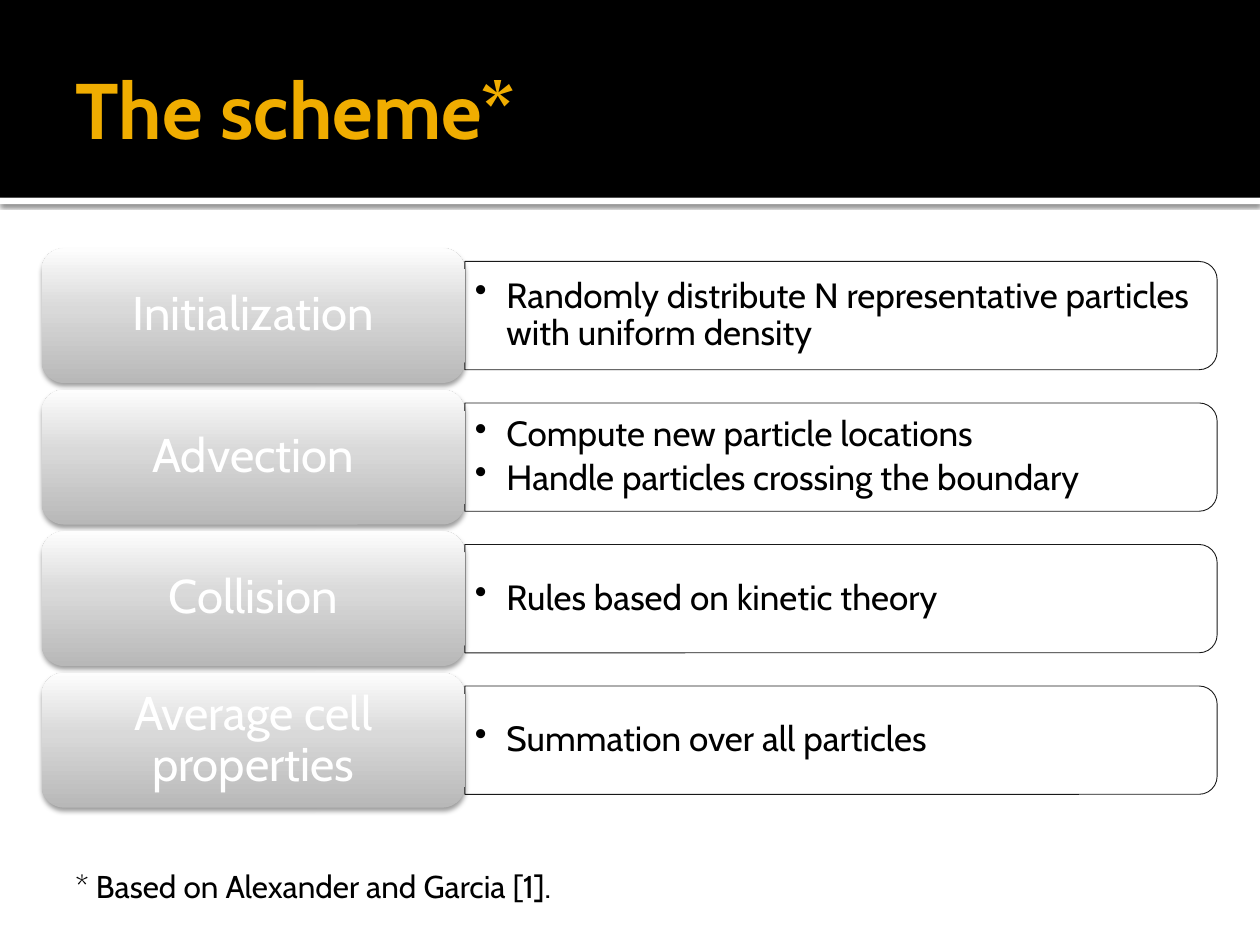
import pptx
import pptx.dml.color
import pptx.enum.shapes
import pptx.enum.text
import pptx.oxml
import pptx.oxml.ns
import pptx.util

COLS, ROWS = 10, 7.5
SHAPE = pptx.enum.shapes.MSO_SHAPE
ALIGN = pptx.enum.text.PP_ALIGN
MIDDLE = pptx.enum.text.MSO_ANCHOR.MIDDLE
NS = pptx.oxml.ns.nsdecls("a")

STEPS = [
    ("Initialization", ["Randomly distribute N representative particles with uniform density"]),
    ("Advection", ["Compute new particle locations", "Handle particles crossing the boundary"]),
    ("Collision", ["Rules based on kinetic theory"]),
    ("Average cell properties", ["Summation over all particles"]),
]
GREYS = [(0, "B8B8B8"), (55, "D9D9D9"), (100, "FDFDFD")]


def rgb(value):
    return pptx.dml.color.RGBColor.from_string(value)


def apply(obj, values):
    for name, value in values.items():
        setattr(obj, name, value)


class Deck:
    font = "Cabin"

    def __init__(self):
        self.prs = pptx.Presentation()
        self.prs.slide_width = pptx.util.Inches(10)
        self.prs.slide_height = pptx.util.Inches(7.5)
        self.col = self.prs.slide_width / COLS
        self.row = self.prs.slide_height / ROWS
        self.s = self.prs.slides.add_slide(self.prs.slide_layouts[5])

    def box(self, x, y, w, h):
        return [round(v) for v in (x * self.col, y * self.row, w * self.col, h * self.row)]

    def fill_text(self, sp, lines, size, color, insets, bold=False, bullet=False, frame=None, para=None):
        tf = sp.text_frame
        sides = ("margin_left", "margin_top", "margin_right", "margin_bottom")
        margins = {side: pptx.util.Inches(v) for side, v in zip(sides, insets)}
        apply(tf, {"word_wrap": True, **margins, **(frame or {})})
        for i, line in enumerate(lines):
            p = tf.add_paragraph() if i else tf.paragraphs[0]
            apply(p, {"alignment": ALIGN.LEFT, **(para or {})})
            r = p.add_run()
            r.text = line
            apply(r.font, {"name": self.font, "size": pptx.util.Pt(size), "bold": bold})
            r.font.color.rgb = rgb(color)
            if bullet:
                pPr = p._p.get_or_add_pPr()
                indent = pptx.util.Inches(0.25)
                pPr.set("marL", str(indent))
                pPr.set("indent", str(-indent))
                pPr.append(pptx.oxml.parse_xml(f'<a:buChar {NS} char="•"/>'))

    def title(self, text, x, y, w, h):
        sp = self.s.shapes.title
        apply(sp, dict(zip(("left", "top", "width", "height"), self.box(x, y, w, h))))
        self.fill_text(sp, [text], 45, "F0AD00", (0.1, 0.05, 0.05, 0.05), bold=True,
                       frame={"vertical_anchor": MIDDLE})
        self.s.shapes._spTree.append(sp._element)

    def text(self, lines, x, y, w, h, size, insets, **style):
        sp = self.s.shapes.add_textbox(*self.box(x, y, w, h))
        self.fill_text(sp, lines, size, "000000", insets, **style)

    def shape(self, kind, x, y, w, h, fill=None, alpha=100, line=None, rotation=0):
        sp = self.s.shapes.add_shape(kind, *self.box(x, y, w, h))
        sp.shadow.inherit = False
        sp.rotation = rotation
        paints = [(sp.fill, fill), (sp.line.fill, line)]
        for paint, color in paints:
            if color is None:
                paint.background()
                continue
            paint.solid()
            paint.fore_color.rgb = rgb(color)
            clr = paint._xPr.find(".//" + pptx.oxml.ns.qn("a:srgbClr"))
            clr.append(pptx.oxml.parse_xml(f'<a:alpha {NS} val="{alpha * 1000}"/>'))
        if line:
            sp.line.width = pptx.util.Pt(0.5)
        return sp

    def gradient(self, sp, stops):
        gs = "".join(f'<a:gs pos="{pos * 1000}"><a:srgbClr val="{c}"/></a:gs>' for pos, c in stops)
        xml = f'<a:gradFill {NS} rotWithShape="1"><a:gsLst>{gs}</a:gsLst><a:lin ang="16200000" scaled="0"/></a:gradFill>'
        spPr = sp._element.spPr
        spPr.replace(spPr.find(pptx.oxml.ns.qn("a:noFill")), pptx.oxml.parse_xml(xml))

    def shadow(self, sp, alpha, blur, dist):
        xml = (f'<a:outerShdw {NS} blurRad="{pptx.util.Pt(blur)}" dist="{pptx.util.Pt(dist)}" dir="5400000" '
               f'rotWithShape="0"><a:srgbClr val="000000"><a:alpha val="{alpha * 1000}"/></a:srgbClr></a:outerShdw>')
        sp._element.spPr.find(pptx.oxml.ns.qn("a:effectLst")).append(pptx.oxml.parse_xml(xml))

    def step(self, label, points, y):
        x, w, h = 0.33, 3.36, 1.07
        panel_w, panel_h = 5.97, 0.86
        panel_x, middle = x + w, y + h / 2
        self.shape(SHAPE.ROUND_2_SAME_RECTANGLE, panel_x + (panel_w - panel_h) / 2, middle - panel_w / 2,
                   panel_h, panel_w, "FFFFFF", alpha=90, line="000000", rotation=90)
        text_h = 0.77
        self.text(points, panel_x, middle - text_h / 2, 5.93, text_h, 20, (0.08, 0.04, 0.08, 0.04),
                  bullet=True, frame={"vertical_anchor": MIDDLE},
                  para={"line_spacing": 0.9, "space_after": pptx.util.Pt(3)})
        sp = self.shape(SHAPE.ROUNDED_RECTANGLE, x, y, w, h)
        self.gradient(sp, GREYS)
        self.shadow(sp, 38, 3.1, 2)
        self.fill_text(sp, [label], 27, "FFFFFF", (0.16, 0.11, 0.16, 0.11),
                       frame={"vertical_anchor": MIDDLE},
                       para={"alignment": ALIGN.CENTER, "line_spacing": 0.9})


def main():
    deck = Deck()
    rule = deck.shape(SHAPE.RECTANGLE, 0, 1.57, COLS, 0.05, "FFFFFF")
    deck.shadow(rule, 60, 2.5, 0.8)
    deck.shape(SHAPE.RECTANGLE, 0, 0, COLS, 1.57, "000000")
    deck.title("The scheme*", 0.5, 0.17, 9, 1.37)

    first, last = 1.97, 5.34
    pitch = (last - first) / (len(STEPS) - 1)
    for i, (label, points) in enumerate(STEPS):
        deck.step(label, points, first + i * pitch)

    deck.text(["* Based on Alexander and Garcia [1]."], 0.5, 6.83, 3.99, 0.4, 18, (0.1, 0.05, 0.1, 0.05),
              frame={"word_wrap": False, "auto_size": pptx.enum.text.MSO_AUTO_SIZE.SHAPE_TO_FIT_TEXT})
    deck.prs.save("out.pptx")


if __name__ == "__main__":
    main()
